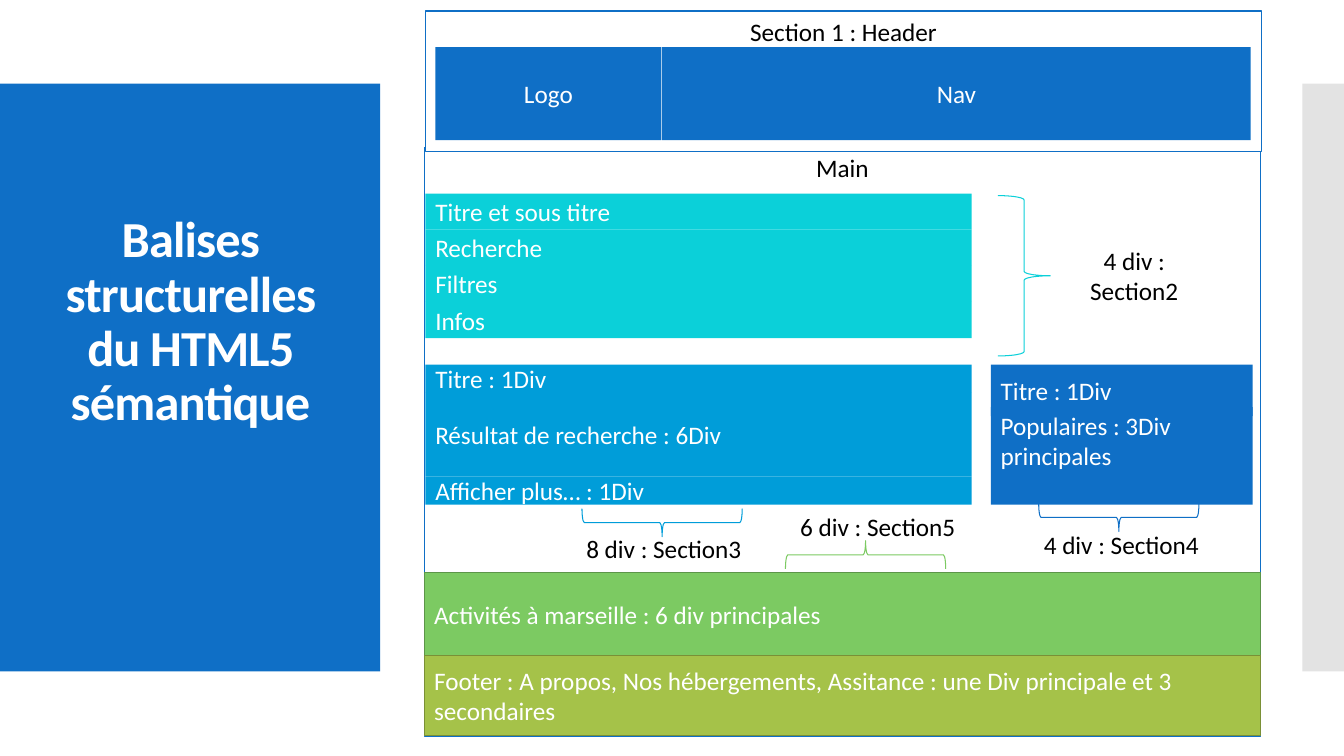
from pptx import Presentation
from pptx.dml.color import RGBColor
from pptx.enum.shapes import MSO_SHAPE
from pptx.enum.text import MSO_ANCHOR, MSO_AUTO_SIZE, PP_ALIGN
from pptx.util import Cm, Pt

BLUE, SKY, TURQUOISE = "0F6FC6", "009DD9", "0BD0D9"
GREEN, OLIVE = "7CCA62", "A5C249"
WHITE, BLACK, GREY = "FFFFFF", "000000", "E3E3E3"


def paint(colour_format, colour):
    colour_format.rgb = RGBColor.from_string(colour)


def add_block(frame, text="", fill=None, line=None, colour=WHITE, align=PP_ALIGN.LEFT,
              anchor=MSO_ANCHOR.MIDDLE, kind=MSO_SHAPE.RECTANGLE, line_width=0.85):
    """Add a shape at frame (left, top, width, height in cm); None means no fill or line."""
    block = slide.shapes.add_shape(kind, *[Cm(length) for length in frame])
    block.shadow.inherit = False
    if fill:
        block.fill.solid()
        paint(block.fill.fore_color, fill)
    else:
        block.fill.background()
    if line:
        paint(block.line.color, line)
        block.line.width = Pt(line_width)
    else:
        block.line.fill.background()
    if text:
        block.text_frame.word_wrap = True
        block.text_frame.vertical_anchor = anchor
        paragraph = block.text_frame.paragraphs[0]
        paragraph.text = text
        paragraph.alignment = align
        paragraph.font.size = Pt(18)
        paragraph.font.name = "Calibri"
        paint(paragraph.font.color, colour)
    return block


deck = Presentation()
deck.slide_width, deck.slide_height = Cm(33.87), Cm(19.05)
slide = deck.slides.add_slide(deck.slide_layouts[5])

# Side panels and title
title = slide.shapes.title
for left, width, fill in [(0, 9.58, BLUE), (32.82, 1.05, GREY)]:
    panel = add_block((left, 2.11, width, 14.81), fill=fill)
    title._element.addprevious(panel._element)

title.left, title.top, title.width, title.height = Cm(0.71), Cm(3.12), Cm(8.18), Cm(12.78)
title.text_frame.word_wrap = True
title.text_frame.auto_size = MSO_AUTO_SIZE.NONE
title.text_frame.vertical_anchor = MSO_ANCHOR.MIDDLE
title.text_frame.margin_bottom = Cm(2.87)
heading = title.text_frame.paragraphs[0]
heading.text = "Balises structurelles du HTML5 sémantique"
heading.alignment = PP_ALIGN.CENTER
heading.line_spacing = 0.9
heading.font.size = Pt(36)
heading.font.bold = True
heading.font.name = "Calibri"
paint(heading.font.color, WHITE)
heading.runs[0].font._element.set("spc", "-60")

# Main and header frames
for text, frame in [("Main", (10.69, 3.71, 21.08, 14.86)),
                    ("Section 1 : Header", (10.72, 0.28, 21.08, 3.53))]:
    add_block(frame, text, WHITE, BLUE, BLACK, PP_ALIGN.CENTER, MSO_ANCHOR.TOP)
for text, left, width in [("Logo", 10.97, 5.7), ("Nav", 16.69, 14.83)]:
    add_block((left, 1.19, width, 2.34), text, BLUE, align=PP_ALIGN.CENTER)

# Stacked divs of sections 2, 3 and 4
search_height = 0.91
for row, text in enumerate(["Titre et sous titre", "Recherche", "Filtres", "Infos"]):
    add_block((10.72, 4.88 + row * search_height, 13.77, search_height), text, TURQUOISE)

result_top = 9.19
for text, height in [("Titre : 1Div", 0.71), ("Résultat de recherche : 6Div", 2.11),
                     ("Afficher plus… : 1Div", 0.71)]:
    add_block((10.72, result_top, 13.77, height), text, SKY)
    result_top += height

add_block((24.97, 9.19, 6.6, 1.3), "Titre : 1Div", BLUE)
popular = add_block((24.97, 10.26, 6.6, 2.46), "Populaires : 3Div principales", BLUE)
popular.text_frame.margin_bottom = Cm(0.89)

# Full-width bands
add_block((10.69, 14.43, 21.08, 2.11), "Activités à marseille : 6 div principales",
          GREEN, "5C9549")
add_block((10.69, 16.51, 21.08, 2.03),
          "Footer : A propos, Nos hébergements, Assitance : une Div principale et 3 secondaires",
          OLIVE, "7A9036")

# Braces with their section labels
sections = [
    ("4 div : Section2", (26.49, 6.05, 4.19, 1.8), (25.15, 4.93, 1.32, 4.04), 0, TURQUOISE),
    ("8 div : Section3", (13.82, 13.31, 5.82, 1.02), (16.33, 11.15, 0.71, 4.04), 90, SKY),
    ("4 div : Section4", (25.35, 13.21, 5.82, 1.02), (27.84, 11.02, 0.71, 4.04), 90, BLUE),
    ("6 div : Section5", (19.53, 12.75, 5.18, 1.02), (21.46, 11.96, 0.71, 4.04), 270, GREEN),
]
for text, label_frame, brace_frame, rotation, colour in sections:
    brace = add_block(brace_frame, line=colour, kind=MSO_SHAPE.RIGHT_BRACE, line_width=0.75)
    brace.rotation = rotation
    add_block(label_frame, text, colour=BLACK, align=PP_ALIGN.CENTER, anchor=MSO_ANCHOR.TOP)

deck.save("out.pptx")
